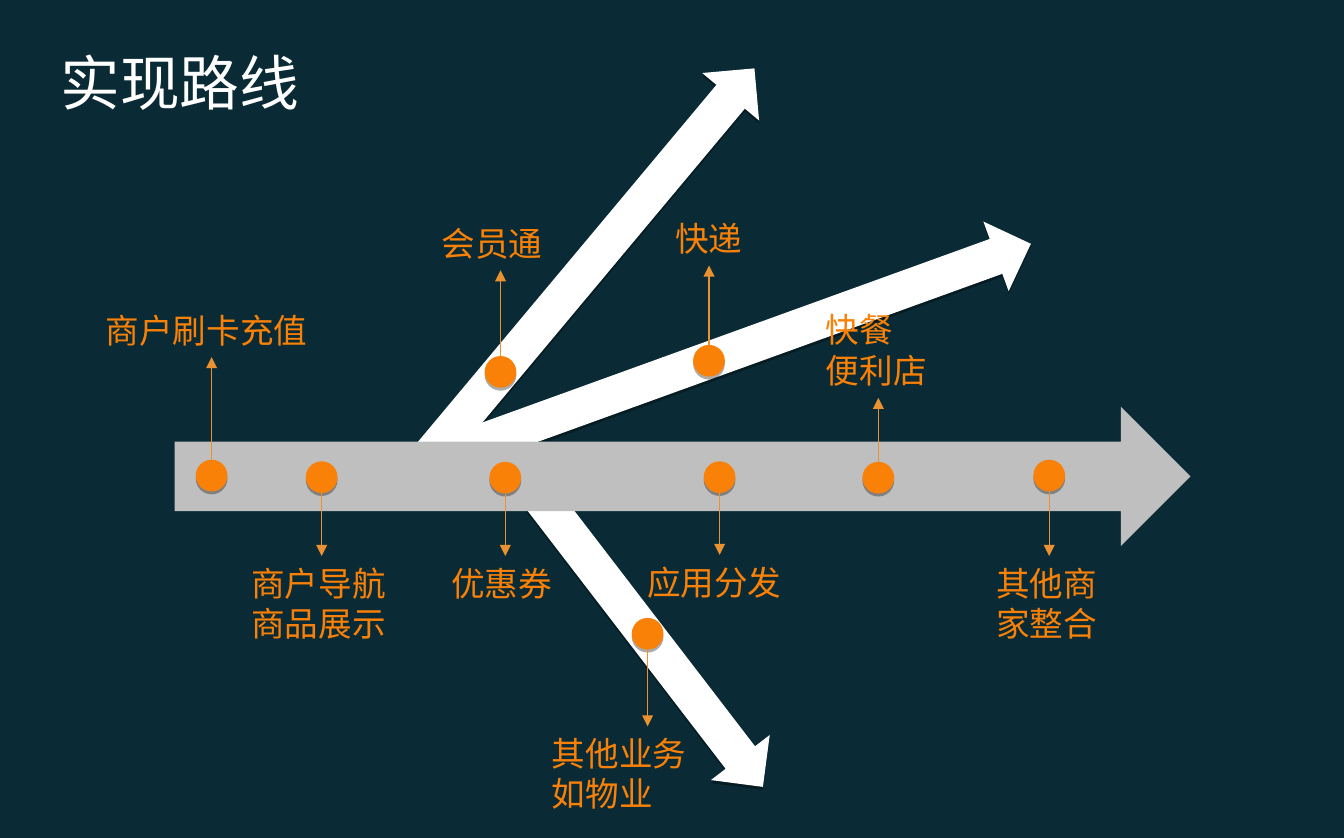
import pptx
import pptx.util
import pptx.dml.color
import pptx.enum.shapes
import pptx.enum.text
import pptx.oxml.ns
from lxml import etree

Cm, Pt = pptx.util.Cm, pptx.util.Pt
SHAPE = pptx.enum.shapes.MSO_SHAPE
ALIGN = pptx.enum.text.PP_ALIGN
qn = pptx.oxml.ns.qn


def color(hex_text):
    return pptx.dml.color.RGBColor.from_string(hex_text)


def add_xml(parent, tag, **attrs):
    return etree.SubElement(parent, qn(tag), attrs)


class Roadmap:
    """Holds the style and the slide being drawn."""
    FONT = "Noto Sans CJK TC"
    BACK, WHITE, GREY = "0A2B35", "FFFFFF", "BFBFBF"
    ORANGE, LINE = "FA8107", "EA9232"
    DOT = 0.6

    def __init__(self, s):
        self.s = s
        s.background.fill.solid()
        s.background.fill.fore_color.rgb = color(self.BACK)

    def shape(self, kind, x, y, w, h, fill, shadow=True):
        sp = self.s.shapes.add_shape(kind, Cm(x), Cm(y), Cm(w), Cm(h))
        sp.fill.solid()
        sp.fill.fore_color.rgb = color(fill)
        sp.line.fill.background()
        sp.shadow.inherit = False
        if shadow:
            effects = sp._element.spPr.find(qn("a:effectLst"))
            outer = add_xml(effects, "a:outerShdw", blurRad="0", dist="20320",
                            dir="5400000", rotWithShape="0")
            add_xml(add_xml(outer, "a:srgbClr", val="000000"), "a:alpha", val="33000")
        return sp

    def branch(self, x, y, length, angle):
        self.shape(SHAPE.RIGHT_ARROW, x, y, length, 1.4, self.WHITE).rotation = angle

    def text(self, lines, x, y, w, h, size=18, fill=ORANGE, align=None):
        tf = self.s.shapes.add_textbox(Cm(x), Cm(y), Cm(w), Cm(h)).text_frame
        tf.word_wrap = True
        tf.auto_size = pptx.enum.text.MSO_AUTO_SIZE.SHAPE_TO_FIT_TEXT
        tf.text = "\n".join(lines)
        for p in tf.paragraphs:
            p.alignment = align
            p.font.size = Pt(size)
            p.font.name = self.FONT
            p.font.color.rgb = color(fill)
            add_xml(p._p.pPr.find(qn("a:defRPr")), "a:ea", typeface=self.FONT)

    def pointer(self, x, start, end):
        line = self.s.shapes.add_connector(
            pptx.enum.shapes.MSO_CONNECTOR.STRAIGHT, Cm(x), Cm(start), Cm(x), Cm(end))
        line.line.color.rgb = color(self.LINE)
        line.line.width = Pt(0.75)
        add_xml(line.line._get_or_add_ln(), "a:tailEnd", type="triangle")
        add_xml(line._element.spPr, "a:effectLst")

    def milestone(self, x, y, tip, left, width, lines, rows=1, align=None):
        """Dot centred on x, y with a pointer to its label at height tip."""
        r = self.DOT / 2
        self.shape(SHAPE.OVAL, x - r, y - r, self.DOT, self.DOT, self.ORANGE)
        up = tip < y
        self.pointer(x, y - r if up else y + r, tip)
        height = 1.02 if rows == 1 else 1.8
        self.text(lines, left, tip - height if up else tip, width, height, align=align)


def main():
    prs = pptx.Presentation()
    prs.slide_width, prs.slide_height = Cm(25.4), Cm(15.84)
    m = Roadmap(prs.slides.add_slide(prs.slide_layouts[6]))

    m.text(["实现路线"], 0.89, 0.74, 22, 1.63, size=32, fill=m.WHITE)
    for x, y, length, angle in [(5.92, 4.49, 10.16, 309.9),
                                (7.21, 6.06, 12.65, 340.1),
                                (8, 11.01, 7.98, 52.5)]:
        m.branch(x, y, length, angle)
    m.shape(SHAPE.RIGHT_ARROW, 3.3, 7.69, 19.2, 2.63, m.GREY, shadow=False)

    # dot x, dot y, pointer tip, label left, label width, lines, rows
    for stop in [
        (9.46, 7.03, 5.11, 8.1, 2.72, ["会员通"]),
        (13.4, 6.82, 5.02, 12.29, 2.21, ["快递"], 1, ALIGN.CENTER),
        (12.24, 11.98, 13.73, 10.18, 4.17, ["其他业务", "如物业"], 2),
        (4, 8.99, 6.75, 1.75, 4.55, ["商户刷卡充值"]),
        (6.08, 9.02, 10.51, 4.5, 3.15, ["商户导航", "商品展示"], 2),
        (9.55, 9.03, 10.51, 8.28, 2.51, ["优惠券"]),
        (13.6, 9.02, 10.49, 11.98, 3.25, ["应用分发"]),
        (16.6, 9.03, 7.52, 15.36, 2.51, ["快餐", "便利店"], 2),
        (19.83, 8.99, 10.51, 18.58, 2.51, ["其他商家整合"], 2),
    ]:
        m.milestone(*stop)
    prs.save("out.pptx")


if __name__ == "__main__":
    main()
